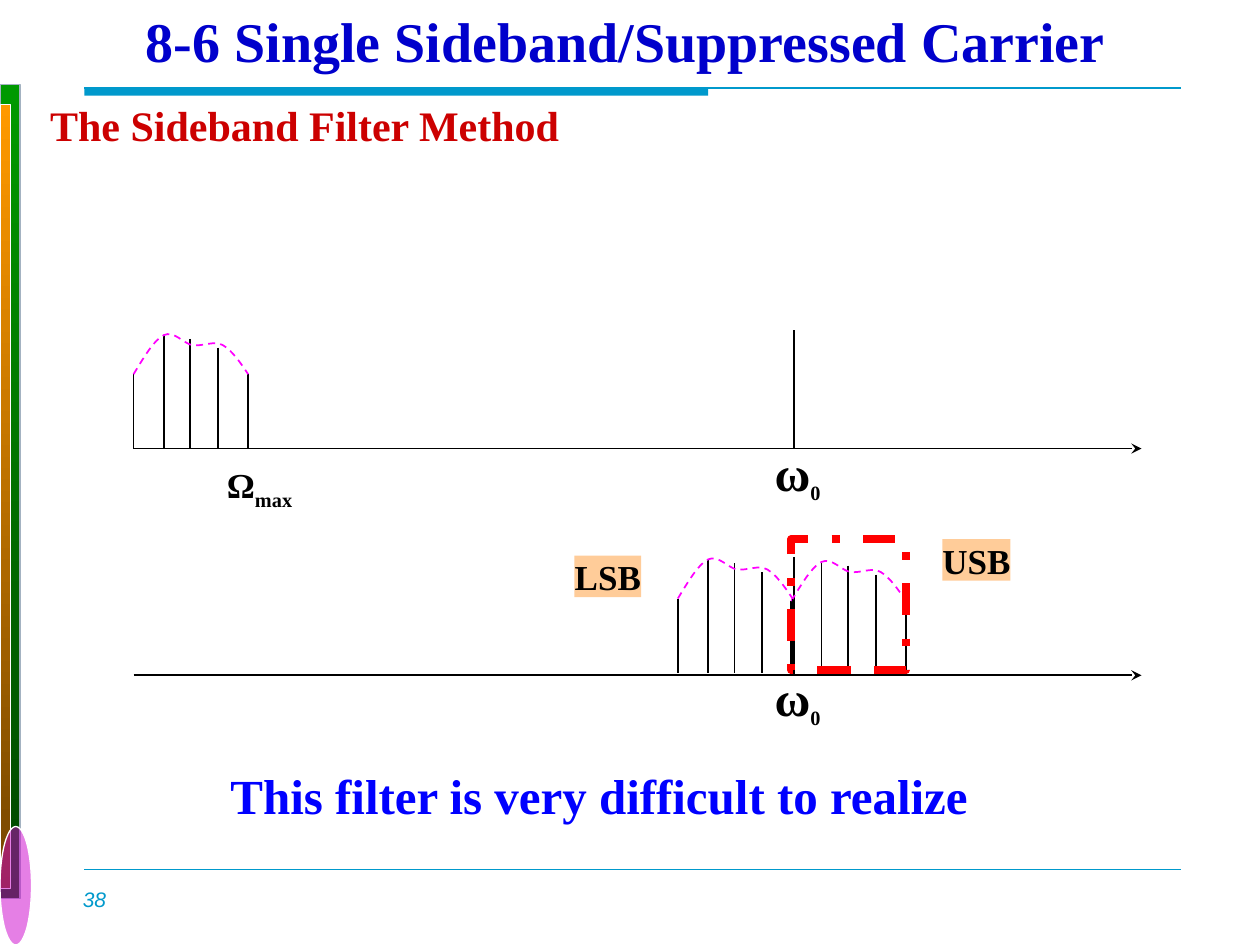
from lxml.etree import SubElement
from pptx import Presentation
from pptx.dml.color import RGBColor
from pptx.enum.dml import MSO_LINE
from pptx.enum.shapes import MSO_CONNECTOR, MSO_SHAPE
from pptx.enum.text import MSO_ANCHOR, PP_ALIGN
from pptx.oxml.ns import qn
from pptx.util import Inches, Pt


class Theme:
    serif, sans = "Times New Roman", "Arial"
    black, white, cyan = "000000", "FFFFFF", "0099CC"
    title, subtitle, note = "0000CC", "CC0000", "0000FF"
    tag, envelope, filter_line = "FFCC99", "FF00FF", "FF0000"
    green, orange = ("009900", "004600"), ("FF9900", "754600")
    green_edge, violet = "A3B2C1", "CC00CC"
    title_size, note_size, subtitle_size, label_size, number_size = 32, 28, 24, 20, 12


# Content: box is left, top, width, height in inches
HEADINGS = [
    ("8-6 Single Sideband/Suppressed Carrier", (1.06, 0, 7.83, 0.64),
     dict(size=Theme.title_size, color=Theme.title, wrap=False)),
    ("The Sideband Filter Method", (0.3, 0.74, 5.14, 0.5),
     dict(size=Theme.subtitle_size, color=Theme.subtitle)),
    ("This filter is very difficult to realize", (1.3, 6.03, 6.91, 0.57),
     dict(size=Theme.note_size, color=Theme.note, align=PP_ALIGN.CENTER)),
    ("38", (0.2, 6.99, 1.1, 0.3),
     dict(size=Theme.number_size, color=Theme.cyan, font=Theme.sans,
          bold=False, italic=True, align=PP_ALIGN.CENTER)),
]
SYMBOLS = [
    ("Ω", "max", (1.57, 3.68, 0.98, 0.38), Theme.label_size),
    ("ω", "0", (5.84, 3.51, 0.98, 0.49), Theme.note_size),
    ("ω", "0", (5.84, 5.3, 0.98, 0.49), Theme.note_size),
]
TAGS = [("USB", (7.48, 4.28, 0.54, 0.33)), ("LSB", (4.56, 4.41, 0.53, 0.33))]

AXES = [3.56, 5.36]
AXIS_LEFT, AXIS_RIGHT = 1.06, 9.06
CARRIER_X, CARRIER_HEIGHT = 6.3, 0.94
SPECTRA = [(1.06, 3.56), (6.28, 5.36), (5.38, 5.34)]  # left end, base line

# Spectral lines as offset and height; envelope as Bezier points above the base
SPECTRAL_LINES = [(0, 0.59), (0.24, 0.9), (0.45, 0.87), (0.67, 0.8), (0.91, 0.59)]
ENVELOPE = [(0, 0.59), (0.08, 0.72), (0.16, 0.86), (0.24, 0.9),
            (0.32, 0.94), (0.4, 0.83), (0.47, 0.82),
            (0.55, 0.81), (0.64, 0.86), (0.71, 0.82),
            (0.78, 0.78), (0.85, 0.68), (0.91, 0.59)]
CURVE_STEPS = 8

deck = Presentation()
deck.slide_width, deck.slide_height = Inches(10), Inches(7.5)
page = deck.slides.add_slide(deck.slide_layouts[6])


def set_line(line, color, width, dash=None):
    line.color.rgb = RGBColor.from_string(color)
    line.width = Pt(width)
    if dash:
        line.dash_style = dash


def add_line(start, end, color=Theme.black, arrow=False):
    line = page.shapes.add_connector(
        MSO_CONNECTOR.STRAIGHT, *(Inches(value) for value in (*start, *end)))
    set_line(line.line, color, 1)
    if arrow:
        SubElement(line.line._get_or_add_ln(), qn("a:tailEnd"), type="stealth")
    SubElement(line._element.spPr, qn("a:effectLst"))


def add_block(kind, box, fill=None, edge=None, alpha=None):
    """Draw a preset shape; a pair of fill colours makes a vertical gradient."""
    block = page.shapes.add_shape(kind, *map(Inches, box))
    block.shadow.inherit = False
    if fill is None:
        block.fill.background()
    elif isinstance(fill, tuple):
        block.fill.gradient()
        block.fill.gradient_angle = 270
        for stop, color, position in zip(block.fill.gradient_stops, fill, (0, 1)):
            stop.color.rgb = RGBColor.from_string(color)
            stop.position = position
    else:
        block.fill.solid()
        block.fill.fore_color.rgb = RGBColor.from_string(fill)
    if alpha:
        color_node = block._element.spPr.find(qn("a:solidFill"))[0]
        SubElement(color_node, qn("a:alpha"), val=str(alpha * 1000))
    if edge:
        set_line(block.line, *edge)
    else:
        block.line.fill.background()
    return block


def write(text, box=None, shape=None, subscript=None, size=Theme.label_size,
          color=Theme.black, font=Theme.serif, bold=True, italic=False,
          align=PP_ALIGN.LEFT, wrap=True, inset=True, anchor=MSO_ANCHOR.TOP):
    """Write text into a shape, or into a new text box."""
    shape = shape or page.shapes.add_textbox(*map(Inches, box))
    frame = shape.text_frame
    frame.word_wrap, frame.vertical_anchor = wrap, anchor
    frame.margin_left = frame.margin_right = Inches(0.1 if inset else 0)
    frame.margin_top = frame.margin_bottom = Inches(0.05 if inset else 0)
    para = frame.paragraphs[0]
    para.alignment = align
    parts = [(text, size)]
    if subscript:
        parts.append((subscript, Theme.label_size))
    for content, points in parts:
        span = para.add_run()
        span.text = content
        span.font.name, span.font.size = font, Pt(points)
        span.font.bold, span.font.italic = bold, italic
        span.font.color.rgb = RGBColor.from_string(color)
    if subscript:
        span.font._element.set("baseline", "-25000")


def curve_points(controls):
    points = [controls[0]]
    for first in range(0, len(controls) - 1, 3):
        segment = controls[first:first + 4]
        for step in range(1, CURVE_STEPS + 1):
            t = step / CURVE_STEPS
            weights = ((1 - t) ** 3, 3 * t * (1 - t) ** 2, 3 * t * t * (1 - t), t ** 3)
            points.append(tuple(sum(w * point[axis] for w, point in zip(weights, segment))
                                for axis in (0, 1)))
    return points


def add_spectrum(left, base):
    for offset, height in SPECTRAL_LINES:
        add_line((left + offset, base - height), (left + offset, base))
    points = [(Inches(left + x), Inches(base - y)) for x, y in curve_points(ENVELOPE)]
    builder = page.shapes.build_freeform(*points[0])
    builder.add_line_segments(points[1:], close=False)
    envelope = builder.convert_to_shape()
    envelope.shadow.inherit = False
    envelope.fill.background()
    set_line(envelope.line, Theme.envelope, 1, MSO_LINE.DASH)


# Rules and side decoration
add_block(MSO_SHAPE.RECTANGLE, (0.67, 0.7, 4.95, 0.06), Theme.cyan)
for rule_y in (0.7, 6.9):
    add_line((0.67, rule_y), (9.37, rule_y), Theme.cyan)
add_block(MSO_SHAPE.RECTANGLE, (0, 0.67, 0.16, 6.46), Theme.green, (Theme.green_edge, 0.75))
add_block(MSO_SHAPE.RECTANGLE, (0, 0.83, 0.08, 6.22), Theme.orange, (Theme.white, 0.5))
add_block(MSO_SHAPE.OVAL, (0, 6.56, 0.25, 0.94), Theme.violet, (Theme.white, 0.75), alpha=50)

# Frequency axes, carriers and spectra
for axis_y in AXES:
    add_line((AXIS_LEFT, axis_y), (AXIS_RIGHT, axis_y), arrow=True)
    add_line((CARRIER_X, axis_y - CARRIER_HEIGHT), (CARRIER_X, axis_y))
for spectrum in SPECTRA:
    add_spectrum(*spectrum)

# Frequency symbols and sideband tags
for symbol, subscript, box, size in SYMBOLS:
    write(symbol, box, subscript=subscript, size=size, align=PP_ALIGN.CENTER, inset=False)
for name, box in TAGS:
    write(name, shape=add_block(MSO_SHAPE.RECTANGLE, box, Theme.tag), wrap=False,
          align=PP_ALIGN.CENTER, inset=False, anchor=MSO_ANCHOR.MIDDLE)

# Sideband filter and headings
add_block(MSO_SHAPE.RECTANGLE, (6.28, 4.28, 0.91, 1.04),
          edge=(Theme.filter_line, 4.5, MSO_LINE.DASH_DOT))
for text, box, style in HEADINGS:
    write(text, box, **style)

deck.save("out.pptx")
